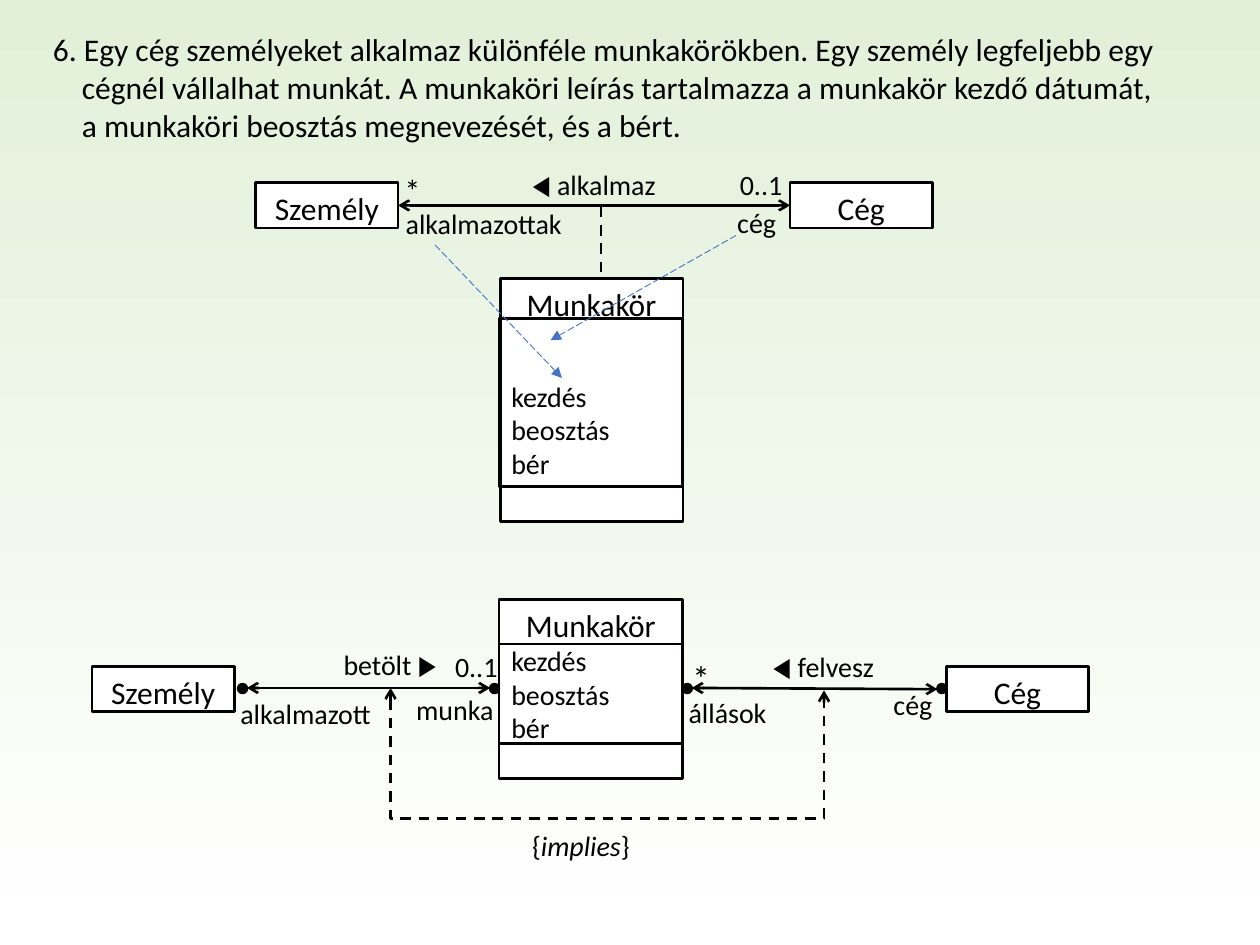
from dataclasses import dataclass
from typing import Optional

from lxml.etree import SubElement
from pptx import Presentation
from pptx.dml.color import RGBColor
from pptx.enum.dml import MSO_LINE_DASH_STYLE as Dash
from pptx.enum.shapes import MSO_CONNECTOR as Link, MSO_SHAPE as Shape
from pptx.enum.text import MSO_ANCHOR as Anchor, MSO_AUTO_SIZE as AutoSize, PP_ALIGN as Align
from pptx.oxml.ns import qn
from pptx.util import Inches, Pt

COLUMNS, ROWS = 100, 75  # square grid cells of a tenth of an inch


@dataclass(frozen=True)
class Theme:
    ink: RGBColor = RGBColor(0, 0, 0)
    paper: RGBColor = RGBColor(255, 255, 255)
    sky: RGBColor = RGBColor(0xE2, 0xF0, 0xD9)
    accent: RGBColor = RGBColor(0x44, 0x72, 0xC4)
    font: str = "Calibri"
    symbol_font: str = "Times New Roman"
    heading: int = 18
    body: int = 16
    star: int = 20
    line: float = 1.5
    hairline: float = 0.5


THEME = Theme()


@dataclass(frozen=True)
class Area:
    column: float
    row: float
    width: float
    height: float


@dataclass(frozen=True)
class Span:
    text: str
    size: int = THEME.body
    font: str = THEME.font
    italic: bool = False


@dataclass(frozen=True)
class ClassBox:
    name: str
    area: Area
    compartment: Optional[Area] = None
    fields: tuple[str, ...] = ()


@dataclass(frozen=True)
class Label:
    spans: tuple[Span, ...]
    area: Area
    wrap: bool = False


@dataclass(frozen=True)
class Line:
    start: tuple[float, float]
    end: tuple[float, float]
    head: Optional[str] = None
    tail: Optional[str] = None
    dash: Optional[Dash] = None
    color: RGBColor = THEME.ink
    weight: float = THEME.line


def cells(*counts: float) -> list[int]:
    return [Inches(count / 10) for count in counts]


def place(area: Area) -> list[int]:
    return cells(area.column, area.row, area.width, area.height)


def write(para, spans: tuple[Span, ...], align=Align.CENTER) -> None:
    para.alignment = align
    for span in spans:
        run = para.add_run()
        run.text = span.text
        run.font.size, run.font.name = Pt(span.size), span.font
        run.font.color.rgb = THEME.ink
        if span.italic:
            run.font.italic = True


def write_fields(frame, fields: tuple[str, ...]) -> None:
    """Add one left-aligned paragraph per field, reusing an empty first one."""
    for field in fields:
        first = frame.paragraphs[0]
        para = frame.add_paragraph() if first.runs else first
        write(para, (Span(field),), Align.LEFT)


def draw_shape(page, kind: Shape, area: Area, fill: Optional[RGBColor]):
    box = page.shapes.add_shape(kind, *place(area))
    box.shadow.inherit = False
    if fill is None:
        box.fill.background()
    else:
        box.fill.solid()
        box.fill.fore_color.rgb = fill
    box.line.color.rgb, box.line.width = THEME.ink, Pt(THEME.line)
    return box


def draw_class(page, item: ClassBox) -> None:
    frame = draw_shape(page, Shape.RECTANGLE, item.area, THEME.paper).text_frame
    frame.vertical_anchor = Anchor.TOP
    write(frame.paragraphs[0], (Span(item.name, THEME.heading),))
    write_fields(frame, item.fields)
    if item.compartment:
        draw_shape(page, Shape.RECTANGLE, item.compartment, None)


def draw_label(page, label: Label) -> None:
    frame = page.shapes.add_textbox(*place(label.area)).text_frame
    frame.word_wrap, frame.auto_size = label.wrap, AutoSize.SHAPE_TO_FIT_TEXT
    write(frame.paragraphs[0], label.spans)


def draw_line(page, item: Line, kind: Link = Link.STRAIGHT):
    link = page.shapes.add_connector(kind, *cells(*item.start, *item.end))
    link.line.color.rgb, link.line.width = item.color, Pt(item.weight)
    if item.dash:
        link.line.dash_style = item.dash
    properties = link._element.spPr
    outline = properties.find(qn("a:ln"))
    for tag, arrow in (("a:headEnd", item.head), ("a:tailEnd", item.tail)):
        if arrow:
            SubElement(outline, qn(tag), type=arrow)
    SubElement(properties, qn("a:effectLst"))
    return link


def draw_constraint(page, left: float, right: float, top: float, drop: float) -> None:
    """Draw a dashed U-shaped elbow: a quarter-turned connector bent far outside its box."""
    rise = 0.2
    middle, center = (left + right) / 2, top + rise / 2
    half = (right - left) / 2
    link = draw_line(page, Line((middle + rise / 2, center - half), (middle - rise / 2, center + half),
                                "arrow", "arrow", Dash.DASH), Link.ELBOW)
    properties = link._element.spPr
    properties.find(qn("a:xfrm")).set("rot", str(270 * 60000))
    guides = properties.find(qn("a:prstGeom")).find(qn("a:avLst"))
    SubElement(guides, qn("a:gd"), name="adj1", fmla=f"val {round(drop / rise * 100000)}")


def draw_heading(page, lines: tuple[str, ...], area: Area) -> None:
    title = page.shapes.title
    title.left, title.top, title.width, title.height = place(area)
    frame = title.text_frame
    frame.word_wrap, frame.auto_size = False, AutoSize.NONE
    frame.vertical_anchor = Anchor.TOP
    para = frame.paragraphs[0]
    para.line_spacing, para.space_before = 1.0, Pt(0)
    indent = Inches(0.23)
    para._p.get_or_add_pPr().set("marL", str(indent))
    para._p.get_or_add_pPr().set("indent", str(-indent))
    for number, line in enumerate(lines):
        if number:
            para.add_line_break()
        write(para, (Span(line, THEME.heading),), Align.LEFT)


HEADING = (
    "6. Egy cég személyeket alkalmaz különféle munkakörökben. Egy személy legfeljebb egy",
    "cégnél vállalhat munkát. A munkaköri leírás tartalmazza a munkakör kezdő dátumát,",
    "a munkaköri beosztás megnevezését, és a bért.",
)
FIELDS = ("kezdés", "beosztás", "bér")
PARTY_WIDTH, PARTY_HEIGHT, LABEL_HEIGHT, DOT = 11.3, 3.6, 3.7, 0.7
CLASSES = [ClassBox(name, Area(column, row, PARTY_WIDTH, PARTY_HEIGHT)) for name, column, row in (
    ("Személy", 20.3, 14.5), ("Cég", 62.7, 14.5), ("Személy", 7.3, 52.9), ("Cég", 75.1, 52.9))] + [
    ClassBox("Munkakör", Area(39.7, 22.1, 14.5, 19.3), Area(39.6, 25.3, 14.6, 13.3)),
    ClassBox("Munkakör", Area(39.6, 47.6, 14.6, 14.2), Area(39.6, 51.1, 14.6, 7.9), FIELDS),
]
LINES = [
    Line((31.6, 16.3), (62.7, 16.3), "arrow", "arrow"),
    Line((47.7, 16.4), (47.7, 22.1), dash=Dash.DASH),
    Line((19.6, 54.6), (38.9, 54.6), "arrow", "arrow"),
    Line((74.4, 54.7), (54.9, 54.6), "arrow", "arrow"),
] + [Line(tip, origin, "triangle", None, Dash.LONG_DASH, THEME.accent, THEME.hairline)
     for tip, origin in (((43.7, 27), (58.4, 18.7)), ((44.6, 30), (34.4, 19.3)))]
LABELS = [Label((Span(text),), Area(column, row, width, LABEL_HEIGHT)) for text, column, row, width in (
    ("◀ alkalmaz", 41, 12.8, 12.3), ("0..1", 57.7, 12.8, 5.4),
    ("alkalmazottak", 31.1, 15.9, 14.6), ("cég", 57.5, 15.8, 5.1),
    ("◀ felvesz", 60.1, 51.1, 10.5), ("0..1", 35.1, 51.1, 5.4),
    ("alkalmazott", 18, 54.8, 12.5), ("munka", 32, 54.5, 8.2),
    ("állások", 53.6, 54.7, 8.3), ("cég", 69.9, 54.1, 5.1))] + [
    Label((Span("betölt "), Span("▶", font=THEME.symbol_font)), Area(26, 50.9, 9.9, LABEL_HEIGHT)),
    Label((Span("{"), Span("implies", italic=True), Span("}")), Area(41.2, 65.3, 9.8, LABEL_HEIGHT)),
    Label((Span("*", THEME.heading),), Area(31.1, 13.1, 3.3, 4)),
    Label((Span("*", THEME.star),), Area(53.8, 51.6, 3.7, 4.4), wrap=True),
]
DOT_COLUMNS = (18.9, 38.9, 54.2, 74.4)


def main() -> None:
    deck = Presentation()
    deck.slide_width, deck.slide_height = cells(COLUMNS, ROWS)
    page = deck.slides.add_slide(deck.slide_layouts[5])
    backdrop = page.background.fill
    backdrop.gradient()
    backdrop.gradient_angle = 90
    for stop, color in zip(backdrop.gradient_stops, (THEME.paper, THEME.sky)):
        stop.color.rgb = color
    draw_heading(page, HEADING, Area(3.2, 1.9, 91, 10.1))
    for item in CLASSES:
        draw_class(page, item)
    fields = page.shapes.add_textbox(*place(Area(39.6, 29.6, 12.2, 7))).text_frame
    fields.word_wrap = True
    write_fields(fields, FIELDS)
    for line in LINES:
        draw_line(page, line)
    draw_constraint(page, left=31, right=65.4, top=54.6, drop=10.3)
    for column in DOT_COLUMNS:
        draw_shape(page, Shape.OVAL, Area(column, 54.3, DOT, DOT), THEME.ink)
    for label in LABELS:
        draw_label(page, label)
    deck.save("out.pptx")


if __name__ == "__main__":
    main()
